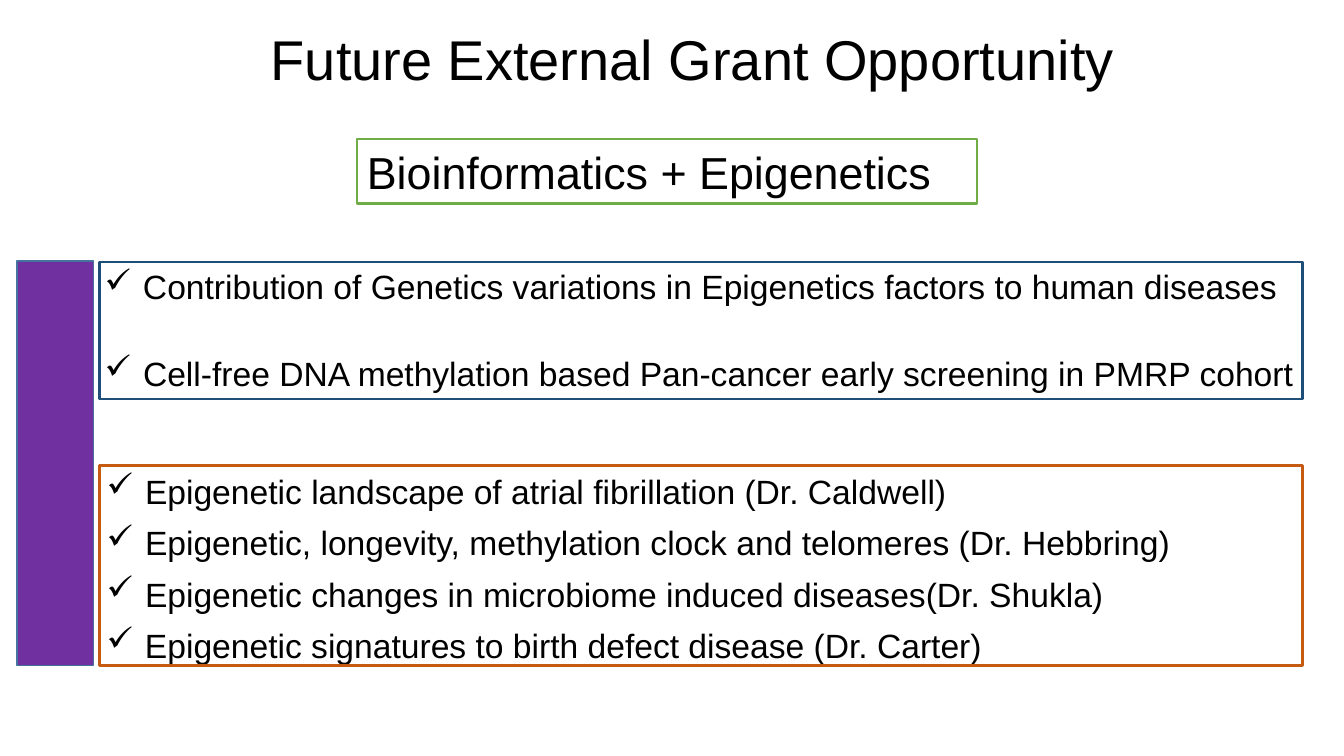
from lxml import etree
from pptx import Presentation
from pptx.dml.color import RGBColor
from pptx.enum.shapes import MSO_SHAPE
from pptx.enum.text import MSO_ANCHOR, PP_ALIGN
from pptx.oxml.ns import qn
from pptx.util import Pt

RECTANGLE = MSO_SHAPE.RECTANGLE
MIDDLE = MSO_ANCHOR.MIDDLE
LEFT = PP_ALIGN.LEFT
CENTER = PP_ALIGN.CENTER
EMU_PER_PX = 9144


def px(length):
    return length * EMU_PER_PX


def color(value):
    return RGBColor.from_string(value)


class SlideBuilder:
    font_name = "Arial"
    text_color = "000000"
    bullet_indent = 38

    def __init__(self, slide):
        self.slide = slide

    def add_label(self, shape, text, size, alignment=LEFT, bullet=None):
        shape.text_frame.word_wrap = True
        paragraph = shape.text_frame.paragraphs[0]
        paragraph.alignment = alignment
        if bullet:
            properties = paragraph._p.get_or_add_pPr()
            properties.set("marL", str(px(self.bullet_indent)))
            properties.set("indent", str(-px(self.bullet_indent)))
            etree.SubElement(properties, qn("a:buChar")).set("char", bullet)
        run = paragraph.add_run()
        run.text = text
        run.font.name = self.font_name
        run.font.size = Pt(size)
        run.font.color.rgb = color(self.text_color)

    def text_box(self, left, top, width, height, text, size, alignment=LEFT, bullet=None):
        shape = self.slide.shapes.add_textbox(px(left), px(top), px(width), px(height))
        self.add_label(shape, text, size, alignment, bullet)

    def rectangle(self, left, top, width, height, line, line_width, fill=None):
        shape = self.slide.shapes.add_shape(
            RECTANGLE, px(left), px(top), px(width), px(height)
        )
        shape.shadow.inherit = False
        if fill:
            shape.fill.solid()
            shape.fill.fore_color.rgb = color(fill)
        else:
            shape.fill.background()
        shape.line.color.rgb = color(line)
        shape.line.width = Pt(line_width)
        return shape

    def bullets(self, left, top, pitch, items):
        for index, (width, text) in enumerate(items):
            self.text_box(left, top + index * pitch, width, 50, text, 24, bullet="✓")


def main():
    presentation = Presentation()
    presentation.slide_width = px(1333)
    presentation.slide_height = px(750)
    builder = SlideBuilder(presentation.slides.add_slide(presentation.slide_layouts[6]))

    builder.text_box(81, 19, 1211, 77, "Future External Grant Opportunity", 40, CENTER)
    topic = builder.rectangle(354, 138, 615, 64, "70AD47", 2, "FFFFFF")
    topic.text_frame.vertical_anchor = MIDDLE
    builder.add_label(topic, "Bioinformatics + Epigenetics", 32)

    builder.bullets(94, 259, 86, [
        (1213, "Contribution of Genetics variations in Epigenetics factors to human diseases"),
        (1239, "Cell-free DNA methylation based Pan-cancer early screening in PMRP cohort"),
    ])
    builder.bullets(96, 462, 51, [
        (889, "Epigenetic landscape of atrial fibrillation (Dr. Caldwell)"),
        (1085, "Epigenetic, longevity, methylation clock and telomeres (Dr. Hebbring)"),
        (1021, "Epigenetic changes in microbiome induced diseases(Dr. Shukla)"),
        (897, "Epigenetic signatures to birth defect disease (Dr. Carter)"),
    ])

    builder.rectangle(17, 259, 76, 401, "43739E", 1, "7030A0")
    builder.rectangle(99, 462, 1193, 198, "C55A11", 2)
    builder.rectangle(99, 260, 1193, 136, "1F4E79", 2)

    presentation.save("out.pptx")


if __name__ == "__main__":
    main()
